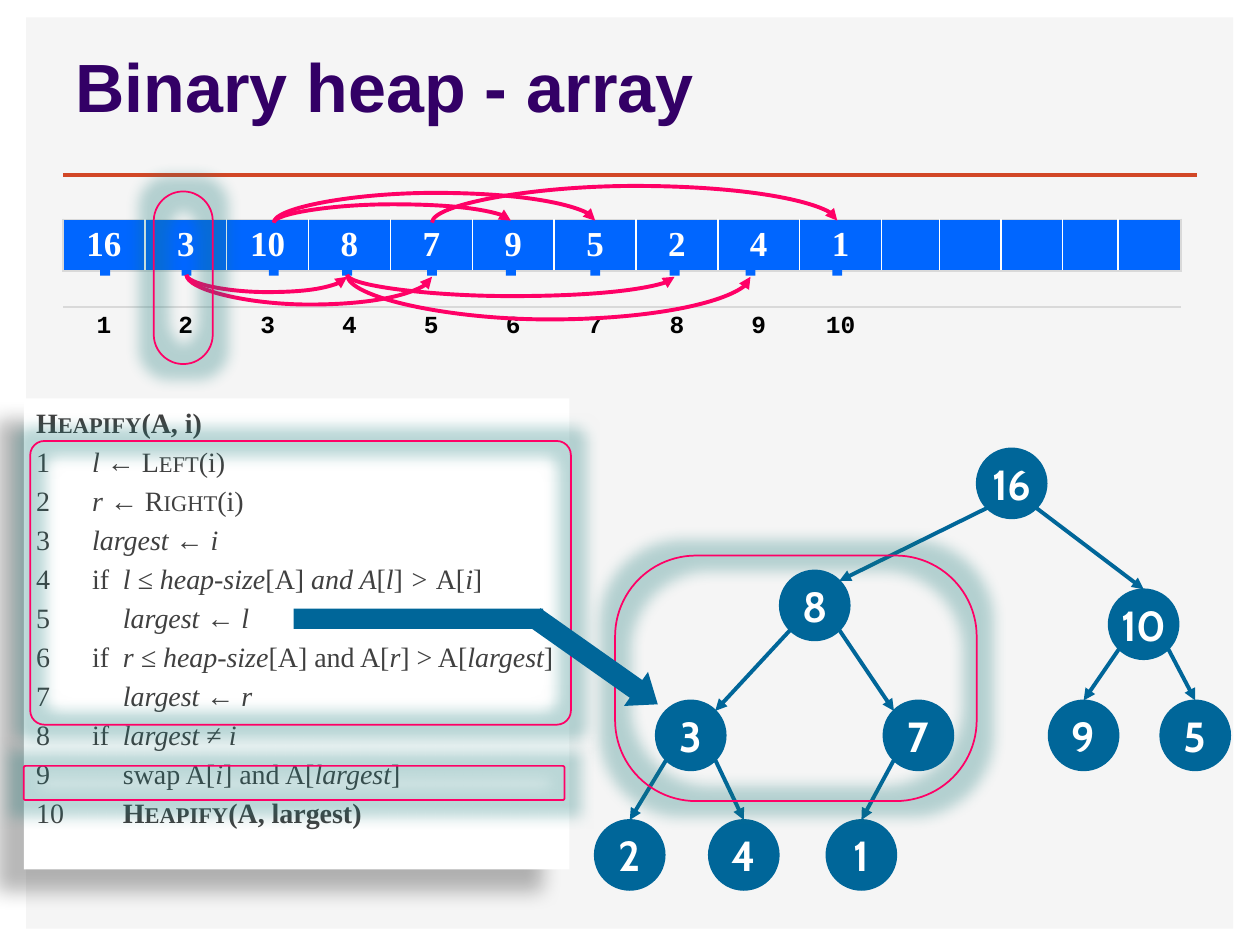
from lxml.etree import SubElement
from pptx import Presentation
from pptx.dml.color import RGBColor
from pptx.enum.shapes import MSO_CONNECTOR, MSO_SHAPE
from pptx.enum.text import MSO_ANCHOR, PP_ALIGN
from pptx.oxml.ns import qn
from pptx.util import Cm, Pt

COLORS = {
    "panel": "F5F5F5", "rule": "D24726", "title": "330066", "cell": "0066FF",
    "border": "D9D9D9", "white": "FFFFFF", "black": "000000", "curve": "FF0066",
    "node": "006699", "code": "404040", "glow": "1A7A7A",
}
TITLE = "Binary heap - array"
HEAP = [16, 3, 10, 8, 7, 9, 5, 2, 4, 1]
COLUMN_WIDTHS = [1.65] * 10 + [1.17, 1.24, 1.24, 1.12, 1.27]
ROW_HEIGHTS = [1.04, 0.73, 0.94]
MARKER_LEFTS = [2.02, 3.66, 5.42, 6.9, 8.61, 10.2, 11.9, 13.5, 15.03, 16.78]
MARKER_TOPS = [4.47, 5.36]
MARKER = 0.2
UPPER_CURVES = [(3, 6, 0.37), (3, 7, 0.6), (5, 10, 0.74)]
LOWER_CURVES = [(2, 4, 0.35), (2, 5, 0.6), (4, 9, 0.9), (4, 8, 0.43)]

NODE = 1.41
NODES = {
    16: (19.69, 9.04), 10: (22.35, 11.88), 8: (15.72, 11.5), 3: (13.22, 14.12),
    7: (17.81, 14.12), 9: (21.14, 14.12), 5: (23.39, 14.12), 2: (11.99, 16.53),
    4: (14.29, 16.53), 1: (16.66, 16.53),
}
FRONT_NODES = [7, 3, 8]
EDGES = [(16, 8), (16, 10), (8, 3), (8, 7), (3, 2), (3, 4), (7, 1), (10, 9), (10, 5)]

ARRAY_HIGHLIGHT = (3.1, 3.86, 1.19, 3.48, 0.5)
TREE_HIGHLIGHT = (12.4, 11.2, 7.29, 4.95, 0.33)
COMPARE_HIGHLIGHT = (0.61, 8.89, 10.9, 5.72, 0.05)
SWAP_HIGHLIGHT = (0.48, 15.44, 10.9, 0.69, 0.05)

CODE_STOPS = [1.13, 1.75]
CODE = [
    [("Heapify", "bc"), ("(A, i)", "b")],
    [("1\t", ""), ("l ", "i"), ("← ", ""), ("Left", "c"), ("(i)", "")],
    [("2\t", ""), ("r", "i"), (" ← ", ""), ("Right", "c"), ("(i)", "")],
    [("3\t", ""), ("largest", "i"), (" ← ", ""), ("i", "i")],
    [("4\tif\t", ""), ("l ≤ heap-size", "i"), ("[A]", ""), (" and A", "i"), ("[", ""),
     ("l", "i"), ("]", ""), (" > ", "i"), ("A[", ""), ("i", "i"), ("]", "")],
    [("5\t\t", ""), ("largest ", "i"), ("← ", ""), ("l", "i")],
    [("6\tif\t", ""), ("r ≤ heap-size", "i"), ("[A] and A[", ""), ("r", "i"),
     ("] > A[", ""), ("largest", "i"), ("]", "")],
    [("7\t\t", ""), ("largest", "i"), (" ← ", ""), ("r", "i")],
    [("8\tif\t", ""), ("largest", "i"), (" ≠ ", ""), ("i", "i")],
    [("9\t\tswap A[", ""), ("i", "i"), ("] and A[", ""), ("largest", "i"), ("]", "")],
    [("10\t\t", ""), ("Heapify", "bc"), ("(A, largest)", "b")],
]


def rgb(name):
    return RGBColor.from_string(COLORS[name])


def style(font, face, size, color, bold=False, italic=False):
    font.name, font.size, font.bold, font.italic = face, Pt(size), bold, italic
    font.color.rgb = rgb(color)


def add_box(shapes, kind, left, top, width, height, fill=None, line=None):
    box = shapes.add_shape(kind, Cm(left), Cm(top), Cm(width), Cm(height))
    box.shadow.inherit = False
    if fill:
        box.fill.solid()
        box.fill.fore_color.rgb = rgb(fill)
    else:
        box.fill.background()
    if line:
        box.line.color.rgb = rgb(line)
        box.line.width = Pt(1)
    else:
        box.line.fill.background()
    return box


def add_effect(box, tag, color, alpha, **settings):
    effects = box._element.spPr.find(qn("a:effectLst"))
    effect = SubElement(effects, qn(tag), {key: str(value) for key, value in settings.items()})
    tint = SubElement(effect, qn("a:srgbClr"), val=COLORS[color])
    SubElement(tint, qn("a:alpha"), val=str(alpha * 1000))


def add_highlight(shapes, left, top, width, height, rounding):
    highlight = add_box(shapes, MSO_SHAPE.ROUNDED_RECTANGLE, left, top, width, height, line="curve")
    highlight.adjustments[0] = rounding
    add_effect(highlight, "a:glow", "glow", 30, rad=Cm(0.58))


def add_line(shapes, kind, start, end, color, width, arrow=True):
    line = shapes.add_connector(kind, *(Cm(value) for value in (*start, *end)))
    line.line.color.rgb = rgb(color)
    line.line.width = Pt(width)
    properties = line._element.spPr
    if arrow:
        SubElement(properties.find(qn("a:ln")), qn("a:tailEnd"), type="triangle")
    SubElement(properties, qn("a:effectLst"))
    return line


def add_curve(shapes, parent, child, rise, upper):
    start, end = (MARKER_LEFTS[slot - 1] + MARKER / 2 for slot in (parent, child))
    middle, span, depth = (start + end) / 2, end - start, 0.04
    level = MARKER_TOPS[0] if upper else MARKER_TOPS[1] + MARKER
    curve = add_line(shapes, MSO_CONNECTOR.CURVE, (middle - depth / 2, level - span / 2),
                     (middle + depth / 2, level + span / 2), "curve", 2.25)
    frame = curve._element.spPr.find(qn("a:xfrm"))
    frame.set("rot", str((90 if upper else 270) * 60000))
    frame.set("flipH", "1")
    if upper:
        frame.set("flipV", "1")
    guides = curve._element.spPr.find(qn("a:prstGeom")).get_or_add_avLst()
    SubElement(guides, qn("a:gd"), name="adj1", fmla=f"val {round(rise / depth * 100000)}")


def add_node(shapes, key):
    node = add_box(shapes, MSO_SHAPE.OVAL, *NODES[key], NODE, NODE, "node", "node")
    frame = node.text_frame
    frame.margin_left = frame.margin_right = frame.margin_top = frame.margin_bottom = 0
    frame.vertical_anchor = MSO_ANCHOR.MIDDLE
    frame.word_wrap = False
    frame.text = str(key)
    frame.paragraphs[0].alignment = PP_ALIGN.CENTER
    style(frame.paragraphs[0].runs[0].font, "Cabin", 24, "white", bold=True)
    return node


def add_edge(shapes, parent, child, drawn):
    near, far = NODE * 0.15, NODE * 0.85
    (x, y), (child_x, child_y) = NODES[parent], NODES[child]
    leftward = child_x < x
    start = (x + (near if leftward else far), y + far)
    end = (child_x + (far if leftward else near), child_y + near)
    edge = add_line(shapes, MSO_CONNECTOR.STRAIGHT, start, end, "node", 2.25)
    if child in drawn:
        edge.end_connect(drawn[child], 0)


def set_borders(cell, **sides):
    properties = cell._tc.get_or_add_tcPr()
    for side in "LRTB":
        border = SubElement(properties, qn(f"a:ln{side}"), w=str(Pt(1)))
        if side in sides:
            SubElement(SubElement(border, qn("a:solidFill")), qn("a:srgbClr"), val=COLORS[sides[side]])
        else:
            SubElement(border, qn("a:noFill"))


def fill_cell(cell, text, face, size, color):
    paragraph = cell.text_frame.paragraphs[0]
    if text:
        paragraph.text = text
        paragraph.alignment = PP_ALIGN.CENTER
        style(paragraph.runs[0].font, face, size, color, bold=True)
    else:
        SubElement(paragraph._p, qn("a:endParaRPr"), sz="800")


def add_array(shapes):
    rows, columns = len(ROW_HEIGHTS), len(COLUMN_WIDTHS)
    array = shapes.add_table(rows, columns, Cm(1.27), Cm(4.42),
                             Cm(sum(COLUMN_WIDTHS)), Cm(sum(ROW_HEIGHTS))).table
    array.first_row = array.horz_banding = False
    for row, height in zip(array.rows, ROW_HEIGHTS):
        row.height = Cm(height)
    for column, width in enumerate(COLUMN_WIDTHS):
        array.columns[column].width = Cm(width)
        value, gap, index = (array.cell(row, column) for row in range(rows))
        used = column < len(HEAP)
        set_borders(value, L="white" if column else "border", T="border", B="border",
                    R="white" if column < columns - 1 else "border")
        set_borders(gap, T="border", B="border")
        set_borders(index, T="border")
        value.fill.solid()
        value.fill.fore_color.rgb = rgb("cell")
        gap.fill.background()
        index.fill.background()
        value.vertical_anchor = MSO_ANCHOR.MIDDLE
        fill_cell(value, str(HEAP[column]) if used else "", "Times New Roman", 20, "white")
        fill_cell(gap, "", "Courier New", 8, "black")
        fill_cell(index, str(column + 1) if used else "", "Courier New", 14, "black")


def add_code(shapes):
    panel = add_box(shapes, MSO_SHAPE.RECTANGLE, 0.48, 8.03, 11, 9.5, "white")
    add_effect(panel, "a:outerShdw", "black", 28, blurRad=Pt(11.8), dist=Pt(19.7), dir=141 * 60000)
    frame = panel.text_frame
    frame.word_wrap = True
    frame.vertical_anchor = MSO_ANCHOR.TOP
    frame.margin_top = Cm(0.14)
    for number, parts in enumerate(CODE):
        paragraph = frame.add_paragraph() if number else frame.paragraphs[0]
        paragraph.alignment = PP_ALIGN.LEFT
        paragraph.space_before = Pt(3.1 if number else 0)
        stops = SubElement(paragraph._p.get_or_add_pPr(), qn("a:tabLst"))
        for stop in CODE_STOPS:
            SubElement(stops, qn("a:tab"), pos=str(Cm(stop)), algn="l")
        for text, marks in parts:
            run = paragraph.add_run()
            run.text = text
            style(run.font, "Times New Roman", 16, "code", "b" in marks, "i" in marks)
            if "c" in marks:
                run._r.get_or_add_rPr().set("cap", "small")


def main():
    deck = Presentation()
    deck.slide_width, deck.slide_height = Cm(25.4), Cm(19.05)
    slide = deck.slides.add_slide(deck.slide_layouts[5])
    shapes = slide.shapes
    add_box(shapes, MSO_SHAPE.RECTANGLE, 0.53, 0.35, 24.33, 18.37, "panel")
    add_line(shapes, MSO_CONNECTOR.STRAIGHT, (1.27, 3.53), (24.13, 3.53), "rule", 2, arrow=False)
    title = shapes.title
    shapes._spTree.append(title._element)
    title.left, title.top, title.width, title.height = Cm(1.27), Cm(0.62), Cm(14.88), Cm(2.06)
    title.text_frame.text = TITLE
    title.text_frame.vertical_anchor = MSO_ANCHOR.BOTTOM
    title.text_frame.paragraphs[0].alignment = PP_ALIGN.LEFT
    style(title.text_frame.paragraphs[0].runs[0].font, "Arial", 39, "title", bold=True)

    add_array(shapes)
    for top in MARKER_TOPS:
        for left in MARKER_LEFTS:
            add_box(shapes, MSO_SHAPE.RECTANGLE, left, top, MARKER, MARKER, "cell")
    for curves, upper in ((UPPER_CURVES, True), (LOWER_CURVES, False)):
        for parent, child, rise in curves:
            add_curve(shapes, parent, child, rise, upper)

    drawn = {key: add_node(shapes, key) for key in NODES if key not in FRONT_NODES}
    for parent, child in EDGES:
        add_edge(shapes, parent, child, drawn)
    add_highlight(shapes, *ARRAY_HIGHLIGHT)
    add_highlight(shapes, *TREE_HIGHLIGHT)
    add_code(shapes)
    add_highlight(shapes, *COMPARE_HIGHLIGHT)
    add_highlight(shapes, *SWAP_HIGHLIGHT)

    pointer = shapes.add_group_shape().shapes
    head = add_box(pointer, MSO_SHAPE.RIGHT_ARROW, 10.49, 12.9, 3.05, 0.84, "node")
    head.rotation = 35.2
    head.adjustments[0], head.adjustments[1] = 0.52, 0.64
    add_box(pointer, MSO_SHAPE.RECTANGLE, 5.92, 12.27, 5.03, 0.41, "node")
    for key in FRONT_NODES:
        add_node(shapes, key)
    deck.save("out.pptx")


if __name__ == "__main__":
    main()
